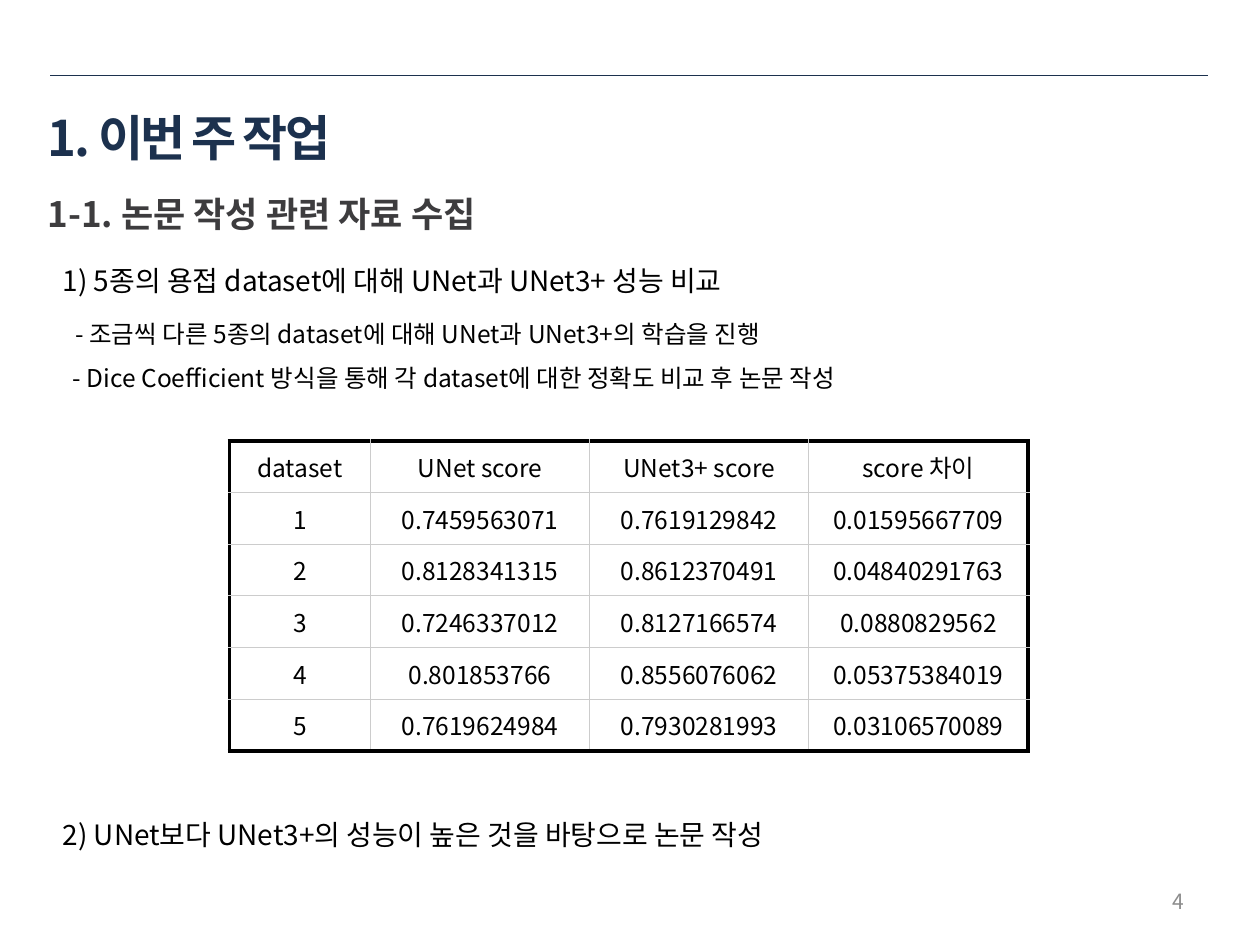
from dataclasses import dataclass

from lxml import etree
from pptx import Presentation
from pptx.dml.color import RGBColor
from pptx.enum import shapes, text
from pptx.oxml import ns
from pptx.util import Inches, Pt

FONT = "Noto Sans CJK KR"
NAVY = RGBColor(0x1C, 0x31, 0x4E)
DARK = RGBColor(0x3D, 0x3C, 0x3E)
GRAY = RGBColor(0x8C, 0x8C, 0x8C)
PALE = RGBColor(0xCC, 0xCC, 0xCC)
BLACK = RGBColor(0, 0, 0)
WHITE = RGBColor(0xFF, 0xFF, 0xFF)


@dataclass
class Line:
    text: str
    size: int
    color: RGBColor = BLACK
    bold: bool = False
    align: text.PP_ALIGN = text.PP_ALIGN.LEFT
    space: float | None = None
    before: float = 0
    indent: float = 0


@dataclass
class Box:
    left: float
    top: float
    width: float
    height: float
    lines: list[Line]
    anchor: text.MSO_ANCHOR = text.MSO_ANCHOR.TOP


BOXES = [
    Box(0.28, 1.48, 9.26, 1.39, [
        Line("1-1. 논문 작성 관련 자료 수집", 20, DARK, True, before=4),
    ]),
    Box(7.17, 6.95, 2.33, 0.4, [
        Line("4", 12, GRAY, align=text.PP_ALIGN.RIGHT),
    ], text.MSO_ANCHOR.MIDDLE),
    Box(0.4, 1.91, 8.8, 1.24, [
        Line("1) 5종의 용접 dataset에 대해 UNet과 UNet3+ 성능 비교", 16, space=1.5),
        Line("- 조금씩 다른 5종의 dataset에 대해 UNet과 UNet3+의 학습을 진행",
             14, space=1.5, before=4, indent=0.1),
        Line("- Dice Coefficient 방식을 통해 각 dataset에 대한 정확도 비교 후 논문 작성",
             14, space=1.5, indent=0.08),
    ]),
    Box(0.4, 6.31, 8.8, 0.49, [
        Line("2) UNet보다 UNet3+의 성능이 높은 것을 바탕으로 논문 작성", 16, space=1.5),
    ]),
]

SCORES = [
    ("dataset", "UNet score", "UNet3+ score", "score 차이"),
    ("1", "0.7459563071", "0.7619129842", "0.01595667709"),
    ("2", "0.8128341315", "0.8612370491", "0.04840291763"),
    ("3", "0.7246337012", "0.8127166574", "0.0880829562"),
    ("4", "0.801853766", "0.8556076062", "0.05375384019"),
    ("5", "0.7619624984", "0.7930281993", "0.03106570089"),
]
WIDTHS = (1.12, 1.74, 1.74, 1.74)
ROW = 0.41


def write(para, line: Line) -> None:
    para.text = line.text
    para.alignment = line.align
    para.space_before = Pt(line.before)
    if line.space:
        para.line_spacing = line.space
    font = para.font
    font.name, font.size, font.bold = FONT, Pt(line.size), line.bold
    font.color.rgb = line.color
    props = para._p.get_or_add_pPr()
    if line.indent:
        props.set("marL", str(Inches(line.indent)))
        props.set("indent", "0")
    # Hangul takes its typeface from the East Asian font
    latin = props.find(".//" + ns.qn("a:latin"))
    east = etree.Element(ns.qn("a:ea"), typeface=FONT)
    latin.addnext(east)


def add_box(slide, box: Box) -> None:
    shape = slide.shapes.add_textbox(
        Inches(box.left), Inches(box.top), Inches(box.width), Inches(box.height))
    frame = shape.text_frame
    frame.word_wrap = True
    frame.vertical_anchor = box.anchor
    for i, line in enumerate(box.lines):
        write(frame.add_paragraph() if i else frame.paragraphs[0], line)


def set_title(slide) -> None:
    title = slide.shapes.title
    title.left, title.top = Inches(0.28), Inches(0.77)
    title.width, title.height = Inches(7.65), Inches(0.64)
    frame = title.text_frame
    frame.auto_size = text.MSO_AUTO_SIZE.NONE
    frame.vertical_anchor = text.MSO_ANCHOR.MIDDLE
    para = frame.paragraphs[0]
    write(para, Line("1. 이번 주 작업", 28, NAVY, True))
    para._p.pPr.find(ns.qn("a:defRPr")).set("spc", "-150")


def add_rule(slide) -> None:
    rule = slide.shapes.add_connector(
        shapes.MSO_CONNECTOR.STRAIGHT,
        Inches(0.4), Inches(0.6), Inches(9.59), Inches(0.6))
    rule.line.color.rgb = NAVY
    rule.line.width = Pt(0.25)
    etree.SubElement(rule._element.spPr, ns.qn("a:effectLst"))


def set_edges(cell, heavy: dict[str, bool]) -> None:
    """Draw thick black outer edges and thin pale inner ones."""
    props = cell._tc.get_or_add_tcPr()
    for i, (side, thick) in enumerate(heavy.items()):
        edge = etree.Element(ns.qn("a:ln" + side), w=str(Pt(2.25 if thick else 0.75)))
        fill = etree.SubElement(edge, ns.qn("a:solidFill"))
        etree.SubElement(fill, ns.qn("a:srgbClr"), val=str(BLACK if thick else PALE))
        props.insert(i, edge)


def add_scores(slide) -> None:
    rows, cols = len(SCORES), len(WIDTHS)
    table = slide.shapes.add_table(
        rows, cols, Inches(1.82), Inches(3.5),
        Inches(sum(WIDTHS)), Inches(ROW * rows)).table
    table.first_row = table.horz_banding = False
    for col, width in zip(table.columns, WIDTHS):
        col.width = Inches(width)
    for r, values in enumerate(SCORES):
        table.rows[r].height = Inches(ROW)
        for c, value in enumerate(values):
            cell = table.cell(r, c)
            cell.fill.solid()
            cell.fill.fore_color.rgb = WHITE
            cell.vertical_anchor = text.MSO_ANCHOR.MIDDLE
            cell.margin_left = cell.margin_right = Inches(0.03)
            cell.margin_top = cell.margin_bottom = Inches(0.02)
            write(cell.text_frame.paragraphs[0],
                  Line(value, 14, align=text.PP_ALIGN.CENTER))
            set_edges(cell, {"L": c == 0, "R": c == cols - 1,
                             "T": r == 0, "B": r == rows - 1})


def main() -> None:
    deck = Presentation()
    deck.slide_width, deck.slide_height = Inches(10), Inches(7.5)
    slide = deck.slides.add_slide(deck.slide_layouts[5])
    add_rule(slide)
    set_title(slide)
    for box in BOXES:
        add_box(slide, box)
    add_scores(slide)
    deck.save("out.pptx")


if __name__ == "__main__":
    main()
